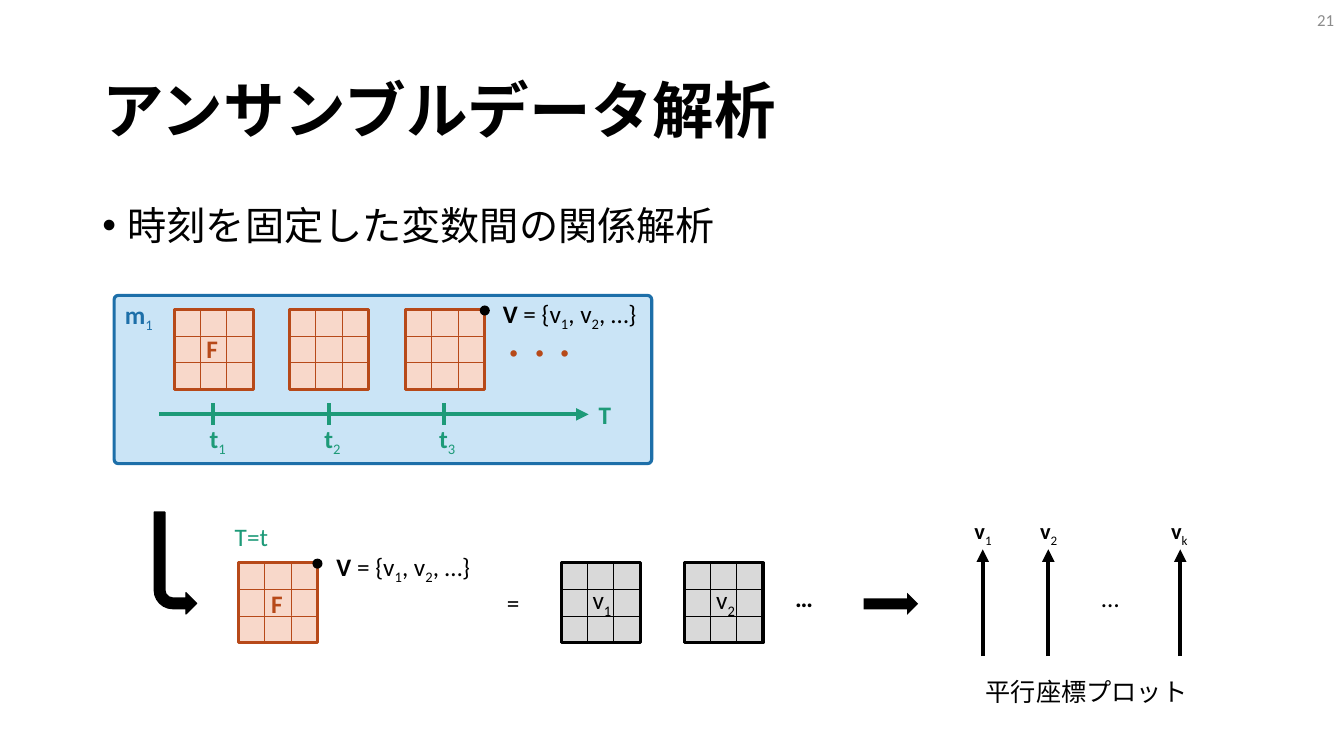
"""Build the ensemble data analysis slide."""
import pptx
import pptx.dml.color
import pptx.enum.shapes
import pptx.enum.text
import pptx.oxml.ns
import pptx.util
from lxml import etree

Pt = pptx.util.Pt
qn = pptx.oxml.ns.qn
SHAPE = pptx.enum.shapes.MSO_SHAPE
STRAIGHT = pptx.enum.shapes.MSO_CONNECTOR.STRAIGHT
ALIGN = pptx.enum.text.PP_ALIGN
ANCHOR = pptx.enum.text.MSO_ANCHOR
AUTO = pptx.enum.text.MSO_AUTO_SIZE
THEME = {
    "font": "Calibri",
    "ink": "000000", "number": "8C8C8C", "gray": "D9D9D9",
    "blue": "1D6FA9", "sky": "CAE4F6",
    "rust": "B74919", "peach": "F8D8CA", "green": "1D9A78",
    "title_size": 44, "body_size": 28, "label_size": 18, "axis_size": 16, "number_size": 12,
}


def rgb(name):
    return pptx.dml.color.RGBColor.from_string(THEME[name])


def add_shape(group, kind, box, fill=None, line=None, width=1):
    sp = group.shapes.add_shape(kind, *map(Pt, box))
    sp.shadow.inherit = False
    if fill:
        sp.fill.solid()
        sp.fill.fore_color.rgb = rgb(fill)
    else:
        sp.fill.background()
    if line:
        sp.line.color.rgb = rgb(line)
        sp.line.width = Pt(width)
    else:
        sp.line.fill.background()
    return sp


prs = pptx.Presentation()
prs.slide_width, prs.slide_height = Pt(960), Pt(540)
s = prs.slides.add_slide(prs.slide_layouts[1])
title, body = s.placeholders[0], s.placeholders[1]
number = s.shapes.add_textbox(Pt(744), Pt(0), Pt(216), Pt(28.8))
texts = [
    (title, (66, 28.8, 828, 104.4), "アンサンブルデータ解析", "title_size", "ink", True, ALIGN.LEFT, ANCHOR.MIDDLE),
    (body, (66, 144, 828, 342), "時刻を固定した変数間の関係解析", "body_size", "ink", False, ALIGN.LEFT, ANCHOR.TOP),
    (number, (744, 0, 216, 28.8), "21", "number_size", "number", False, ALIGN.RIGHT, ANCHOR.MIDDLE),
]
for sp, box, text, size, color, bold, align, anchor in texts:
    for name, value in zip(("left", "top", "width", "height"), box):
        setattr(sp, name, Pt(value))
    tf = sp.text_frame
    for name, value in {"word_wrap": True, "auto_size": AUTO.NONE, "vertical_anchor": anchor}.items():
        setattr(tf, name, value)
    p = tf.paragraphs[0]
    p.alignment = align
    p.space_before = Pt(0)
    if sp is not number:
        p.line_spacing = 0.9
    if sp is body:
        pPr = p._p.get_or_add_pPr()
        pPr.set("marL", str(Pt(18)))
        pPr.set("indent", str(-Pt(18)))
        etree.SubElement(pPr, qn("a:buFont")).set("typeface", "Arial")
        etree.SubElement(pPr, qn("a:buChar")).set("char", "•")
    r = p.add_run()
    r.text = text
    for name, value in {"name": THEME["font"], "size": Pt(THEME[size]), "bold": bold}.items():
        setattr(r.font, name, value)
    r.font.color.rgb = rgb(color)

member, fixed, variables, plot = [s.shapes.add_group_shape() for _ in range(4)]

panel = add_shape(member, SHAPE.ROUNDED_RECTANGLE, (81.5, 211, 384, 120.2), "sky", "blue", 2.25)
panel.adjustments[0] = 0.025

CELL = 19
grids = [(member, 124 + 82.6 * i, 221, "peach", "rust") for i in range(3)]
grids += [
    (fixed, 170, 402, "peach", "rust"),
    (variables, 400.4, 402, "gray", "ink"),
    (variables, 488.2, 402, "gray", "ink"),
]
for group, x, y, fill, line in grids:
    for i in range(9):
        row, col = divmod(i, 3)
        add_shape(group, SHAPE.RECTANGLE, (x + col * CELL, y + row * CELL, CELL, CELL), fill, line, 0.5)
    add_shape(group, SHAPE.RECTANGLE, (x + 0.5, y, 56.4, 57), None, line, 2.25)

for group, x, y in [(member, 342.7, 218.2), (fixed, 223.2, 399)]:
    add_shape(group, SHAPE.OVAL, (x, y, 7.2, 7.2), "ink")

turn = add_shape(fixed, SHAPE.BENT_ARROW, (110.2, 365.8, 30.2, 72.7), "ink", "ink")
turn._element.spPr.xfrm.set("flipV", "1")
add_shape(plot, SHAPE.RIGHT_ARROW, (617, 423.4, 38.9, 15.8), "ink")

lines = [(member, 113.8, 296, 420.5, 296, "green", True)]
lines += [(member, x, 288, x, 303.8, "green", False) for x in (152.4, 234.9, 317.4)]
lines += [(plot, x, 468.7, x, 392.4, "ink", True) for x in (702, 748.8, 843.1)]
for group, x1, y1, x2, y2, color, arrow in lines:
    c = group.shapes.add_connector(STRAIGHT, Pt(x1), Pt(y1), Pt(x2), Pt(y2))
    c.line.color.rgb = rgb(color)
    c.line.width = Pt(3)
    spPr = c._element.spPr
    if arrow:
        etree.SubElement(spPr.find(qn("a:ln")), qn("a:tailEnd")).set("type", "triangle")
    etree.SubElement(spPr, qn("a:effectLst"))

VECTOR = [("V ", "bold"), ("= {v", ""), ("1", "sub"), (", v", ""), ("2", "sub"), (", …}", "")]
labels = [
    (member, 351.4, 238.3, 69, "rust", [("・・・", "bold")]),
    (member, 82.1, 210.2, 35.3, "blue", [("m", "bold"), ("1", "sub")]),
    (member, 140.4, 234.7, 23, "rust", [("F", "bold")]),
    (member, 420.5, 281.5, 23, "green", [("T", "bold")]),
    (member, 352.1, 209.5, 113, "ink", VECTOR),
    (fixed, 233.3, 390.2, 113, "ink", VECTOR),
    (fixed, 186.5, 416.9, 23, "rust", [("F", "bold")]),
    (fixed, 160.6, 368.6, 38.9, "green", [("T=t", "")]),
    (variables, 560.9, 412.6, 27.4, "ink", [("…", "bold")]),
    (variables, 355, 416.2, 23.8, "ink", [("=", "")]),
    (plot, 779.8, 412.6, 27.4, "ink", [("…", "")]),
    (plot, 697, 479.5, 159.8, "ink", [("平行座標プロット", "")]),
]
labels += [(member, 142.6 + 82 * i, 298.8, 27.4, "green", [("t", "bold"), (str(i + 1), "sub")]) for i in range(3)]
labels += [(variables, 416.2 + 88.3 * i, 414, 28.8, "ink", [("v", ""), (str(i + 1), "sub")]) for i in range(2)]
axis_names = [(plot, x, 365.8, 27.4, "ink", [("v", "bold"), (sub, "sub")])
              for x, sub in [(689, "1"), (735.8, "2"), (829.4, "k")]]
sized = [(label, "label_size", 28.8) for label in labels] + [(label, "axis_size", 26.6) for label in axis_names]
for (group, x, y, w, color, runs), size, h in sized:
    tf = group.shapes.add_textbox(Pt(x), Pt(y), Pt(w), Pt(h)).text_frame
    tf.word_wrap = False
    tf.auto_size = AUTO.SHAPE_TO_FIT_TEXT
    p = tf.paragraphs[0]
    for text, style in runs:
        r = p.add_run()
        r.text = text
        for name, value in {"name": THEME["font"], "size": Pt(THEME[size]), "bold": style == "bold"}.items():
            setattr(r.font, name, value)
        r.font.color.rgb = rgb(color)
        if style == "sub":
            r._r.get_or_add_rPr().set("baseline", "-25000")

prs.save("out.pptx")
